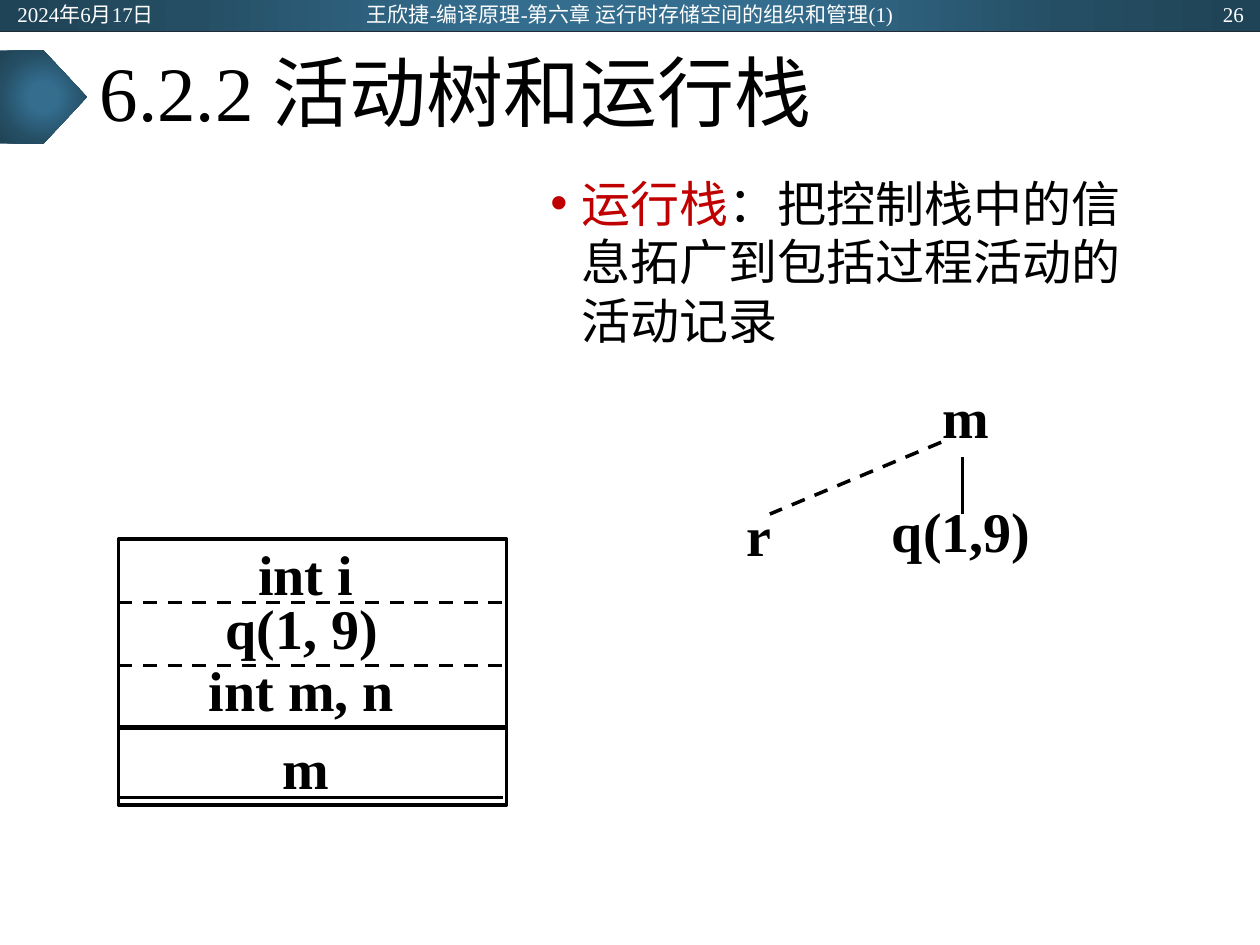
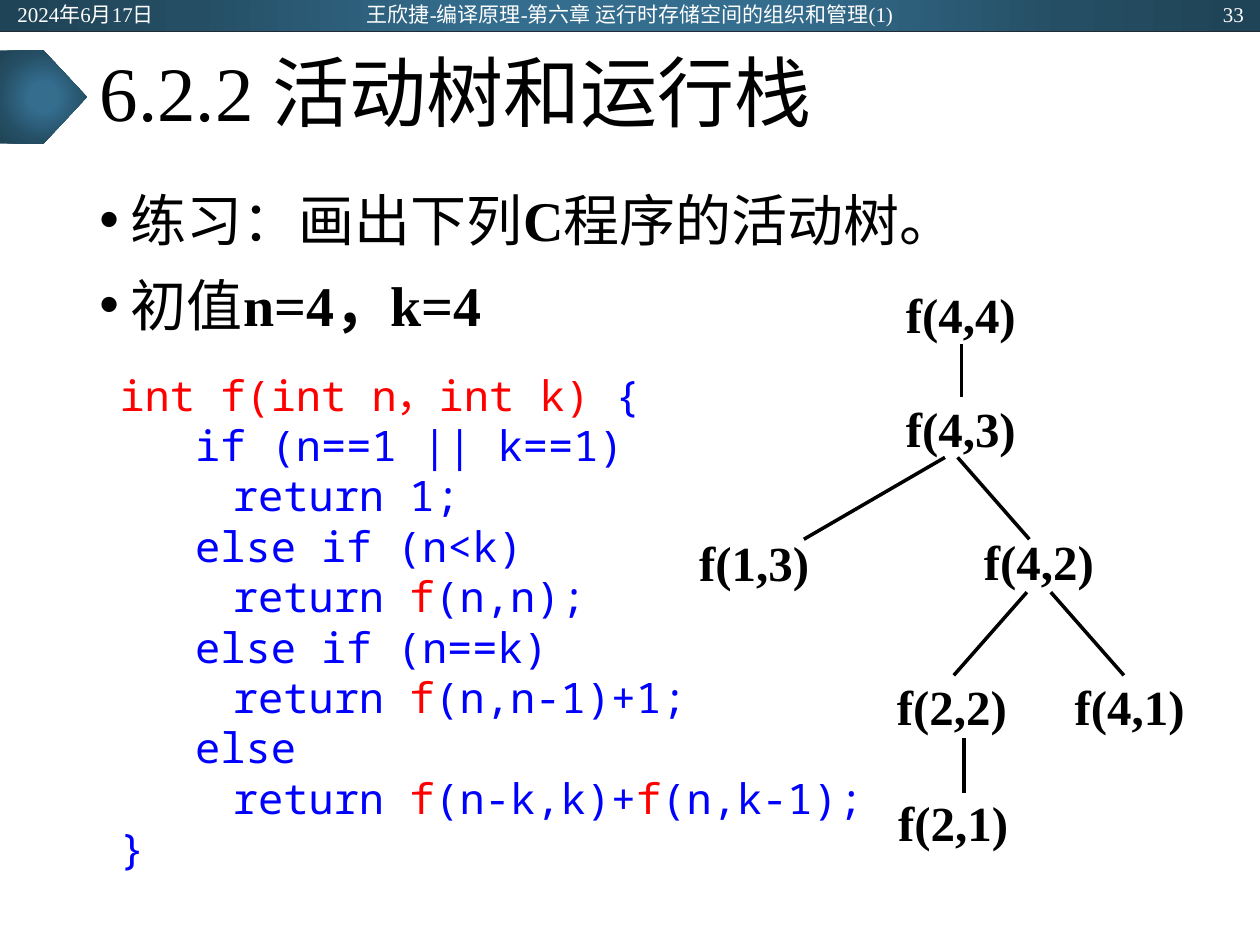
"""Build two lecture slides on activation trees and the run-time stack."""
from lxml import etree
from pptx import Presentation
from pptx.dml.color import RGBColor
from pptx.enum.dml import MSO_LINE
from pptx.enum.shapes import MSO_CONNECTOR, MSO_SHAPE
from pptx.enum.text import MSO_ANCHOR, PP_ALIGN
from pptx.oxml import parse_xml
from pptx.oxml.ns import qn
from pptx.util import Inches, Pt

RECTANGLE, PENTAGON = MSO_SHAPE.RECTANGLE, MSO_SHAPE.PENTAGON
STRAIGHT, DASH = MSO_CONNECTOR.STRAIGHT, MSO_LINE.DASH
TOP, MIDDLE = MSO_ANCHOR.TOP, MSO_ANCHOR.MIDDLE
LEFT, CENTER, RIGHT = PP_ALIGN.LEFT, PP_ALIGN.CENTER, PP_ALIGN.RIGHT

COLORS = {
    "black": "000000", "white": "FFFFFF", "term": "C00000", "rule": "222A35",
    "code": "0000FF", "call": "FF0000",
    "light": "346D8E", "deep": "254E64", "edge": "204457",
}
SERIF, CJK, MONO = "Times New Roman", "Noto Sans CJK SC", "Noto Sans Mono"
NAMESPACE = "http://schemas.openxmlformats.org/drawingml/2006/main"
STOPS = "".join(
    f'<a:gs pos="{position * 1000}"><a:srgbClr val="{COLORS[name]}"/></a:gs>'
    for position, name in [(0, "light"), (23, "light"), (69, "deep"), (97, "edge")])
GRADIENT = (
    f'<a:gradFill xmlns:a="{NAMESPACE}" rotWithShape="1"><a:gsLst>{STOPS}</a:gsLst>'
    '<a:path path="circle"><a:fillToRect l="50000" t="50000" r="50000" b="50000"/>'
    '</a:path></a:gradFill>')


def write(frame, paragraphs, size, font=SERIF, bold=False, align=LEFT, anchor=TOP,
          wrap=True, inset=0.05, spacing=None, bullet=False, tab=None):
    """Fill a text frame with paragraphs, each a list of (text, colour[, bold]) runs."""
    frame.word_wrap = wrap
    frame.vertical_anchor = anchor
    frame.margin_top = Inches(inset)
    for index, runs in enumerate(paragraphs):
        para = frame.add_paragraph() if index else frame.paragraphs[0]
        para.alignment = align
        if spacing:
            para.line_spacing = spacing
        if bullet:
            para.space_before = Pt(10 if index else 0)
            properties = para._p.get_or_add_pPr()
            properties.set("marL", str(Inches(0.25)))
            properties.set("indent", str(-Inches(0.25)))
            etree.SubElement(properties, qn("a:buFont")).set("typeface", "Arial")
            etree.SubElement(properties, qn("a:buChar")).set("char", "•")
        if tab:
            tabs = etree.SubElement(para._p.get_or_add_pPr(), qn("a:tabLst"))
            stop = etree.SubElement(tabs, qn("a:tab"))
            stop.set("pos", str(Inches(tab)))
            stop.set("algn", "l")
        for text, color, *weight in runs:
            span = para.add_run()
            span.text = text
            span.font.size = Pt(size)
            span.font.name = font
            span.font.bold = weight[0] if weight else bold
            span.font.color.rgb = RGBColor.from_string(COLORS[color])
            east_asian = etree.SubElement(span._r.get_or_add_rPr(), qn("a:ea"))
            east_asian.set("typeface", CJK)


def draw_line(page, x1, y1, x2, y2, color="black", width=2, dash=None):
    """Draw a straight line without a shadow."""
    line = page.shapes.add_connector(
        STRAIGHT, Inches(x1), Inches(y1), Inches(x2), Inches(y2))
    line.line.color.rgb = RGBColor.from_string(COLORS[color])
    line.line.width = Pt(width)
    if dash:
        line.line.dash_style = dash
    etree.SubElement(line._element.spPr, qn("a:effectLst"))


deck = Presentation()
deck.slide_width, deck.slide_height = Inches(10), Inches(7.5)
pages = []

for number in ("26", "33"):
    page = deck.slides.add_slide(deck.slide_layouts[5])
    pages.append(page)
    for kind, top, width, height in [(RECTANGLE, 0, 10, 0.25), (PENTAGON, 0.4, 0.69, 0.74)]:
        band = page.shapes.add_shape(kind, 0, Inches(top), Inches(width), Inches(height))
        band.shadow.inherit = False
        band.line.fill.background()
        band.fill.background()
        properties = band._element.spPr
        properties.replace(properties.find(qn("a:noFill")), parse_xml(GRADIENT))
    draw_line(page, 0, 0.25, 10, 0.25, "rule", 0.5)
    title = page.shapes.title
    title.left, title.top = Inches(0.69), Inches(0.25)
    title.width, title.height = Inches(8.62), Inches(1.04)
    write(title.text_frame, [[("6.2.2 活动树和运行栈", "black")]], 44,
          anchor=MIDDLE, spacing=0.9)
    for left, width, align, text in [
        (0.04, 2.25, LEFT, "2024年6月17日"),
        (2.58, 4.84, CENTER, "王欣捷-编译原理-第六章 运行时存储空间的组织和管理(1)"),
        (7.72, 2.25, RIGHT, number),
    ]:
        box = page.shapes.add_textbox(Inches(left), Inches(0.01), Inches(width), Inches(0.2))
        write(box.text_frame, [[(text, "white")]], 12, align=align, anchor=MIDDLE)

stack_page, exercise_page = pages

box = stack_page.shapes.add_textbox(Inches(4.27), Inches(1.29), Inches(5.04), Inches(4.5))
write(box.text_frame, [[("运行栈", "term"), ("：", "black"),
                        ("把控制栈中的信息拓广到包括过程活动的活动记录", "black")]],
      28, bullet=True, inset=0.09, spacing=Pt(33.4))

for top, height in [(5.77, 0.62), (4.28, 1.5)]:
    record = stack_page.shapes.add_shape(
        RECTANGLE, Inches(0.94), Inches(top), Inches(3.08), Inches(height))
    record.shadow.inherit = False
    record.fill.background()
    record.line.color.rgb = RGBColor.from_string(COLORS["black"])
    record.line.width = Pt(2)
for y, dash in [(4.78, DASH), (5.28, DASH), (6.33, None)]:
    draw_line(stack_page, 0.94, y, 3.99, y, dash=dash)
draw_line(stack_page, 7.64, 3.63, 7.64, 4.08)
draw_line(stack_page, 7.47, 3.51, 6.11, 4.08, dash=DASH)

box = stack_page.shapes.add_textbox(Inches(0.96), Inches(5.73), Inches(2.93), Inches(0.77))
write(box.text_frame, [[("m", "black")]], 32, bold=True, align=CENTER, inset=0.09)

box = exercise_page.shapes.add_textbox(Inches(0.69), Inches(1.38), Inches(8.62), Inches(1.4))
write(box.text_frame, [
    [("练习：画出下列", "black"), ("C", "black", True), ("程序的活动树。", "black")],
    [("初值", "black"), ("n=4，k=4", "black", True)],
], 32, bullet=True, inset=0.09, spacing=Pt(38.6))

code = [
    [("int f(int n，int k) ", "call"), ("{", "code")],
    [("   if (n==1 || k==1)", "code")],
    [("\t  return 1;", "code")],
    [("   else if (n<k)", "code")],
    [("\t  return ", "code"), ("f", "call"), ("(n,n);", "code")],
    [("   else if (n==k)", "code")],
    [("\t  return ", "code"), ("f", "call"), ("(n,n-1)+1;", "code")],
    [("   else", "code")],
    [("\t  return ", "code"), ("f", "call"), ("(n-k,k)+", "code"),
     ("f", "call"), ("(n,k-1);", "code")],
    [("}", "code")],
]
box = exercise_page.shapes.add_textbox(Inches(0.85), Inches(2.85), Inches(6.11), Inches(4.14))
write(box.text_frame, code, 24, font=MONO, inset=0.08, spacing=Pt(28.8), tab=0.5)

for x1, y1, x2, y2 in [
    (7.63, 2.73, 7.63, 3.15), (7.5, 3.63, 6.38, 4.28), (7.6, 3.63, 8.17, 4.28),
    (8.15, 4.7, 7.57, 5.36), (8.34, 4.7, 8.92, 5.36), (7.65, 5.86, 7.65, 6.29),
]:
    draw_line(exercise_page, x1, y1, x2, y2)

stack_labels = [
    ("m", 7.38, 2.99, 0.72), ("q(1,9)", 6.98, 3.89, 1.41), ("r", 5.83, 3.92, 0.72),
    ("int i", 1.95, 4.23, 0.96), ("q(1, 9)", 1.69, 4.66, 1.41), ("int m, n", 1.56, 5.15, 1.68),
]
call_labels = [
    ("f(4,4)", 7.09, 2.21, 1.25), ("f(4,3)", 7.09, 3.11, 1.25), ("f(1,3)", 5.45, 4.18, 1.25),
    ("f(4,2)", 7.71, 4.17, 1.25), ("f(2,2)", 7.02, 5.32, 1.25), ("f(4,1)", 8.43, 5.32, 1.25),
    ("f(2,1)", 7.03, 6.24, 1.25),
]
for page, labels, size in [(stack_page, stack_labels, 32), (exercise_page, call_labels, 28)]:
    for text, left, top, width in labels:
        box = page.shapes.add_textbox(Inches(left), Inches(top), Inches(width), Inches(0.67))
        write(box.text_frame, [[(text, "black")]], size, bold=True, wrap=False)

deck.save("out.pptx")
